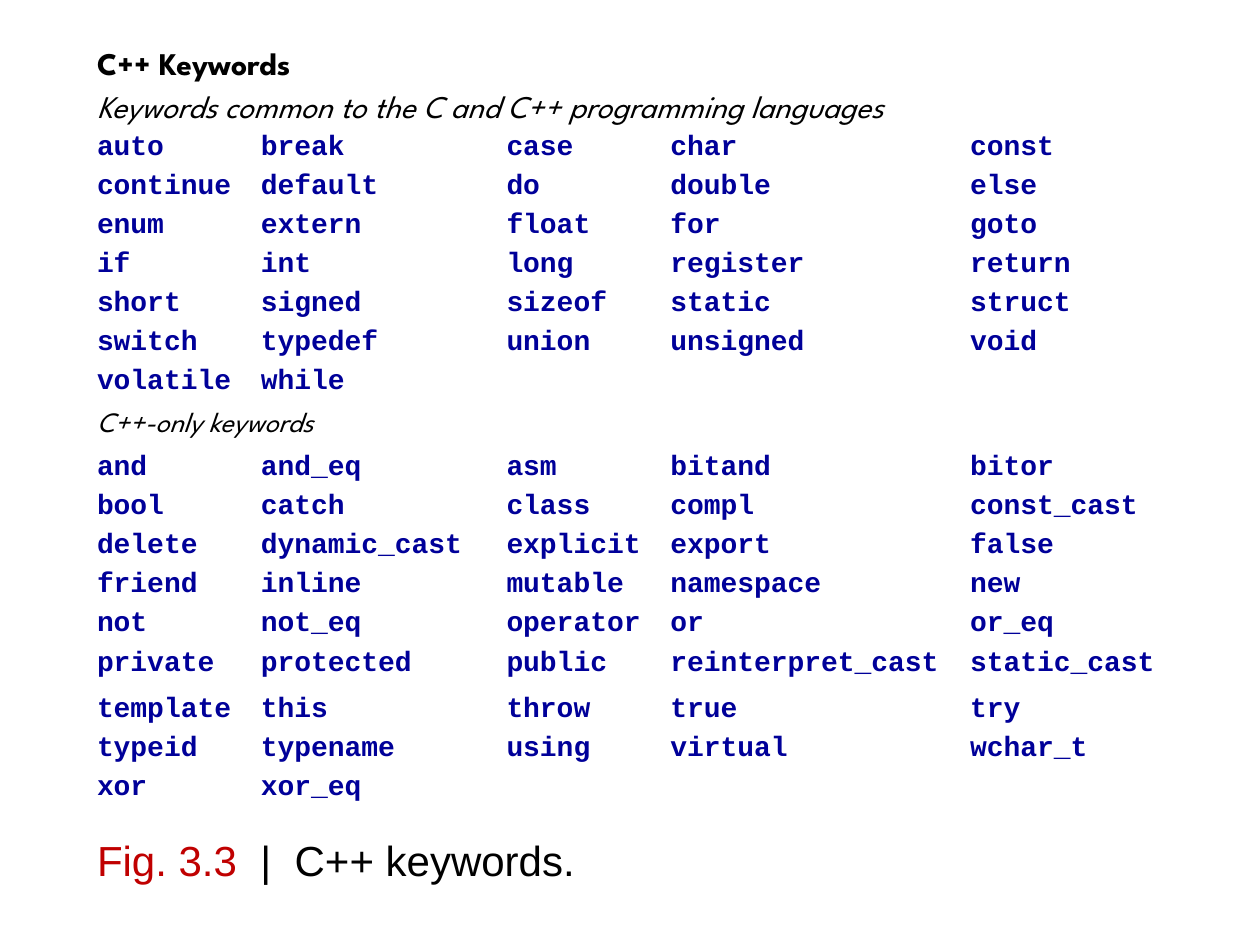
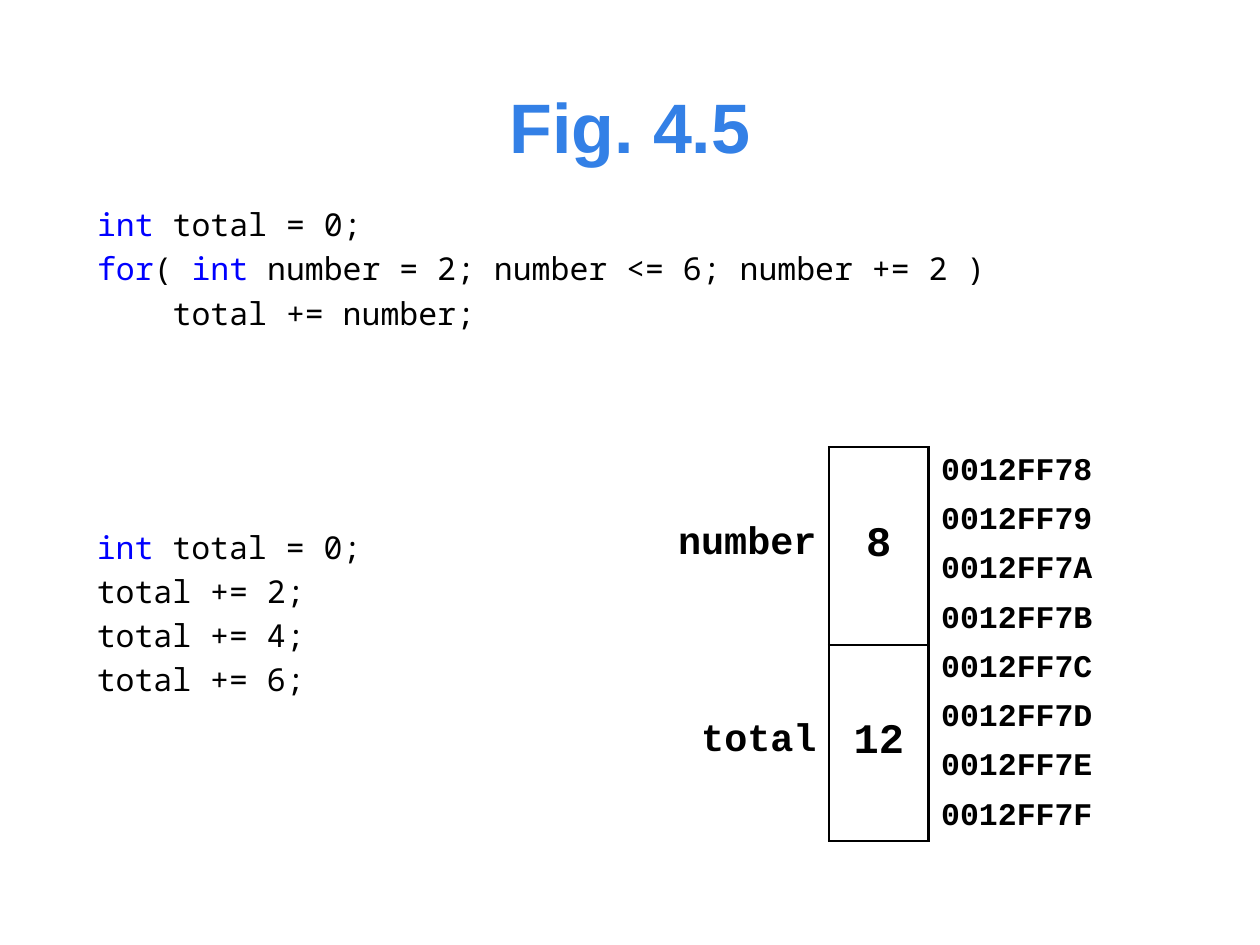
import itertools
import lxml.etree
import pptx
import pptx.dml.color
import pptx.enum.text
import pptx.oxml.ns
import pptx.util

Inches = pptx.util.Inches
Pt = pptx.util.Pt
RGBColor = pptx.dml.color.RGBColor
ALIGN = pptx.enum.text.PP_ALIGN
ANCHOR = pptx.enum.text.MSO_ANCHOR
qn = pptx.oxml.ns.qn
add = lxml.etree.SubElement

BLACK = RGBColor(0x00, 0x00, 0x00)
RED = RGBColor(0xC0, 0x00, 0x00)
NAVY = RGBColor(0x00, 0x00, 0x99)
BLUE = RGBColor(0x00, 0x00, 0xFF)
SKY = RGBColor(0x33, 0x80, 0xE6)
HEAD, CODE, MONO = "League Spartan", "Courier New", "Noto Sans Mono"
NO_STYLE = "{2D5ABB26-0587-4C30-8999-92F81FD0307C}"
LEFT = 0.67


def write(frame, lines, font, size, color=BLACK, bold=False, italic=False,
          align=ALIGN.LEFT, lead=None, gap=False, hang=0):
    """Fill a text frame; a line is a list of (text, colour) or one string.

    A string's leading spaces become an indent of 0.6 em each.
    """
    frame.word_wrap = True
    for i, line in enumerate(lines):
        par = frame.paragraphs[0] if i == 0 else frame.add_paragraph()
        par.alignment = align
        if lead:
            par.line_spacing = lead
        runs = [(line, color)] if isinstance(line, str) else line
        first = runs[0][0]
        depth = len(first) - len(first.lstrip())
        props = par._p.get_or_add_pPr()
        props.set("marL", str(Inches(hang)))
        props.set("indent", str(Pt(0.6 * size * depth) - Inches(hang)))
        if gap:
            par.space_before = Pt(0)
            space = props.find(qn("a:spcBef"))
            space.clear()
            add(space, qn("a:spcPct"), val="20000")
        add(props, qn("a:buNone"))
        for j, (text, tint) in enumerate(runs):
            if not text:
                add(par._p, qn("a:endParaRPr"), sz=str(size * 100))
                continue
            run = par.add_run()
            run.text = text.lstrip() if j == 0 else text
            run.font.name, run.font.size = font, Pt(size)
            run.font.bold, run.font.italic = bold, italic
            run.font.color.rgb = tint


def grid(slide, left, top, cols, rows):
    """Add a table without style, with the given widths and heights."""
    box = slide.shapes.add_table(len(rows), len(cols), Inches(left), Inches(top),
                                 Inches(sum(cols)), Inches(sum(rows)))
    table = box.table
    table.first_row = table.horz_banding = False
    table._tbl.tblPr.find(qn("a:tableStyleId")).text = NO_STYLE
    for col, width in zip(table.columns, cols):
        col.width = Inches(width)
    for row, height in zip(table.rows, rows):
        row.height = Inches(height)
    return box


deck = pptx.Presentation()
deck.slide_width, deck.slide_height = Inches(10), Inches(7.5)
layout = deck.slide_layouts[1]

# Slide 1: keyword table with caption
page = deck.slides.add_slide(layout)
title, note = page.placeholders
title._element.getparent().remove(title._element)
note.left, note.top = Inches(LEFT), Inches(6.57)
note.width, note.height = Inches(4.33), Inches(0.65)
note.text_frame.auto_size = pptx.enum.text.MSO_AUTO_SIZE.NONE
write(note.text_frame, [[("Fig. 3.3  ", RED), ("|  C++ keywords.", BLACK)]],
      "Arial", 24, gap=True, hang=0.38)

COMMON = """auto break case char const
continue default do double else
enum extern float for goto
if int long register return
short signed sizeof static struct
switch typedef union unsigned void
volatile while"""
ONLY = """and and_eq asm bitand bitor
bool catch class compl const_cast
delete dynamic_cast explicit export false
friend inline mutable namespace new
not not_eq operator or or_eq
private protected public reinterpret_cast static_cast
template this throw true try
typeid typename using virtual wchar_t
xor xor_eq"""
heads = {
    0: ("C++ Keywords", 18, True),
    1: ("Keywords common to the C and C++ programming languages", 18, False),
    9: ("C++-only keywords", 16, False),
}
words = iter((COMMON + "\n" + ONLY).splitlines())
tall = [0.34, 0.28] + [0.31] * 17
tall[15] = 0.37
box = grid(page, LEFT, 0.4, [1.3, 1.95, 1.3, 2.38, 1.73], tall)
box.height = Inches(6.07)
table = box.table
for r in range(len(tall)):
    cells = [table.cell(r, c) for c in range(5)]
    for cell in cells:
        cell.fill.background()
    if r in heads:
        text, size, bold = heads[r]
        cells[0].merge(cells[-1])
        write(cells[0].text_frame, [text], HEAD, size, bold=bold,
              italic=not bold, lead=0.8)
    else:
        row = next(words).split()
        for cell, word in itertools.zip_longest(cells, row, fillvalue=""):
            write(cell.text_frame, [word], CODE, 16, NAVY, bold=True, lead=0.8)

# Slide 2: loop, its unrolled form and the memory it uses
page = deck.slides.add_slide(layout)
title, loop = page.placeholders
title.left, title.top = Inches(3.23), Inches(0.6)
title.width, title.height = Inches(3.54), Inches(0.79)
title.text_frame.vertical_anchor = ANCHOR.MIDDLE
write(title.text_frame, ["Fig. 4.5"], "Arial", 40, SKY, bold=True, align=ALIGN.CENTER)

loop.left, loop.top = Inches(LEFT), Inches(1.58)
loop.width, loop.height = Inches(8.66), Inches(1.38)
start = [("int", BLUE), (" total = 0;", BLACK)]
head = [("for", BLUE), ("( ", BLACK), ("int ", BLUE),
        ("number = 2; number <= 6; number += 2 )", BLACK)]
steps = page.shapes.add_textbox(Inches(LEFT), Inches(4.14), Inches(2.56), Inches(1.77))
for shape, lines in (
    (loop, [start, head, "    total += number;"]),
    (steps, [start] + [f"total += {n};" for n in (2, 4, 6)]),
):
    shape.text_frame.auto_size = pptx.enum.text.MSO_AUTO_SIZE.NONE
    write(shape.text_frame, lines, MONO, 18, gap=True, hang=0.69)

table = grid(page, 5.2, 3.55, [1.38, 0.79, 1.57], [0.39] * 8).table
for r in range(8):
    name, value, place = (table.cell(r, c) for c in range(3))
    edges = {"L": 1.5, "R": 1.5}
    if r % 4 == 0:
        edges["T"] = 1.5 if r == 0 else 1
        edges["B"] = 1 if r == 0 else 1.5
    elif r % 4 == 3:
        edges["B"] = 1 if r == 3 else 1.5
    for cell, sides in ((name, {"R": 1.5}), (value, edges), (place, {"L": 1.5})):
        props = cell._tc.get_or_add_tcPr()
        for side in "LRTB":
            if side in sides:
                line = add(props, qn("a:ln" + side), w=str(Pt(sides[side])))
                add(add(line, qn("a:solidFill")), qn("a:srgbClr"), val=str(BLACK))
        cell.fill.background()
        cell.vertical_anchor = ANCHOR.MIDDLE
    place.margin_top = place.margin_bottom = Inches(0.04)
    write(place.text_frame, [f"{0x0012FF78 + r:08X}"], CODE, 18, bold=True, gap=True)

for r, name, value in ((0, "number", "8"), (4, "total", "12")):
    for c, text, size, align in ((0, name, 22, ALIGN.RIGHT), (1, value, 24, ALIGN.CENTER)):
        cell = table.cell(r, c)
        cell.merge(table.cell(r + 3, c))
        cell.margin_top, cell.margin_bottom = 0, Inches(0.02)
        write(cell.text_frame, [text], CODE, size, bold=True, align=align, gap=True)

deck.save("out.pptx")
